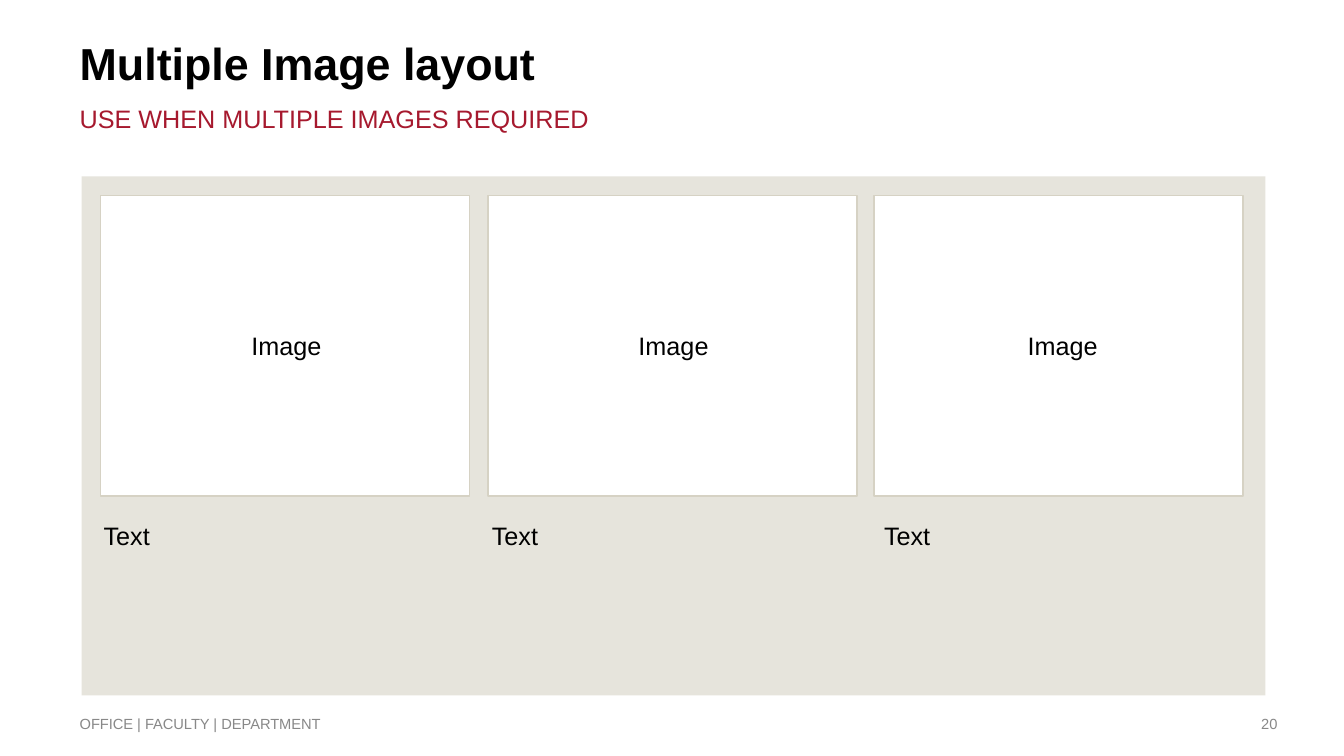
from pptx import Presentation
from pptx import util as u
from pptx.dml.color import RGBColor
from pptx.enum import shapes, text

PX = 9144  # EMU per px, 100 px to the inch
BLACK = RGBColor(0x00, 0x00, 0x00)
WHITE = RGBColor(0xFF, 0xFF, 0xFF)
CRIMSON = RGBColor(0xA6, 0x19, 0x2E)
GREY = RGBColor(0x88, 0x88, 0x88)
SAND = RGBColor(0xE6, 0xE4, 0xDC)
STONE = RGBColor(0xD6, 0xD2, 0xC4)

LEFT, CENTER, RIGHT = text.PP_ALIGN.LEFT, text.PP_ALIGN.CENTER, text.PP_ALIGN.RIGHT
TOP, MIDDLE = text.MSO_ANCHOR.TOP, text.MSO_ANCHOR.MIDDLE

# label inset from the card, label width, caption offset from the card, caption width
COLUMNS = [(80, 208, -7, 374), (80, 208, -6, 375), (107, 160, 0, 370)]


def emu(box):
    return [u.Emu(length * PX) for length in box]


def add_panel(slide, box, fill, outline=None):
    panel = slide.shapes.add_shape(shapes.MSO_SHAPE.RECTANGLE, *emu(box))
    panel.shadow.inherit = False
    panel.fill.solid()
    panel.fill.fore_color.rgb = fill
    if outline is None:
        panel.line.fill.background()
    else:
        panel.line.color.rgb = outline
        panel.line.width = u.Pt(1)


def add_words(slide, box, words, size=18, color=BLACK, bold=False, align=LEFT,
              anchor=TOP, inset=(0, 0), spacing=1.0):
    """Place one line of text; inset is (horizontal, vertical) in px."""
    frame = slide.shapes.add_textbox(*emu(box)).text_frame
    frame.word_wrap = True
    frame.vertical_anchor = anchor
    frame.margin_left = frame.margin_right = u.Emu(inset[0] * PX)
    frame.margin_top = frame.margin_bottom = u.Emu(inset[1] * PX)
    paragraph = frame.paragraphs[0]
    paragraph.alignment = align
    paragraph.line_spacing = spacing
    run = paragraph.add_run()
    run.text = words
    run.font.name = "Arial"
    run.font.size = u.Pt(size)
    run.font.bold = bold
    run.font.color.rgb = color


def add_heading(slide, box):
    left, top, width, _ = box
    add_words(slide, (left, top, width, 71), "Multiple Image layout",
              size=32, bold=True, spacing=1.1)
    add_words(slide, (left, top + 69, width, 49), "USE WHEN MULTIPLE IMAGES REQUIRED",
              color=CRIMSON, spacing=1.1)


def add_gallery(slide, box):
    left, top, _, _ = box
    add_panel(slide, box, SAND)
    card_top, card_width, card_height = top + 19, 366, 298
    for column, (label_dx, label_width, caption_dx, caption_width) in enumerate(COLUMNS):
        card_left = left + 19 + (column * 767 + 1) // 2
        add_panel(slide, (card_left, card_top, card_width, card_height), WHITE, STONE)
        add_words(slide, (card_left + label_dx, card_top + 129, label_width, 40),
                  "Image", align=CENTER, inset=(10, 5))
        add_words(slide, (card_left + caption_dx, card_top + 317, caption_width, 40),
                  "Text", inset=(10, 5))


def add_footer(slide, box):
    left, top, width, height = box
    number_width = 311
    add_words(slide, (left, top, 588, height), "OFFICE | FACULTY | DEPARTMENT",
              size=10.5, color=GREY, anchor=MIDDLE)
    add_words(slide, (left + width - number_width, top, number_width, height), "20",
              size=10.5, color=GREY, align=RIGHT, anchor=MIDDLE)


def main():
    deck = Presentation()
    deck.slide_width, deck.slide_height = emu((1333, 750))
    slide = deck.slides.add_slide(deck.slide_layouts[6])
    add_heading(slide, (79, 30, 930, 118))
    add_gallery(slide, (81, 175, 1174, 515))
    add_footer(slide, (79, 698, 1188, 40))
    deck.save("out.pptx")


if __name__ == "__main__":
    main()
